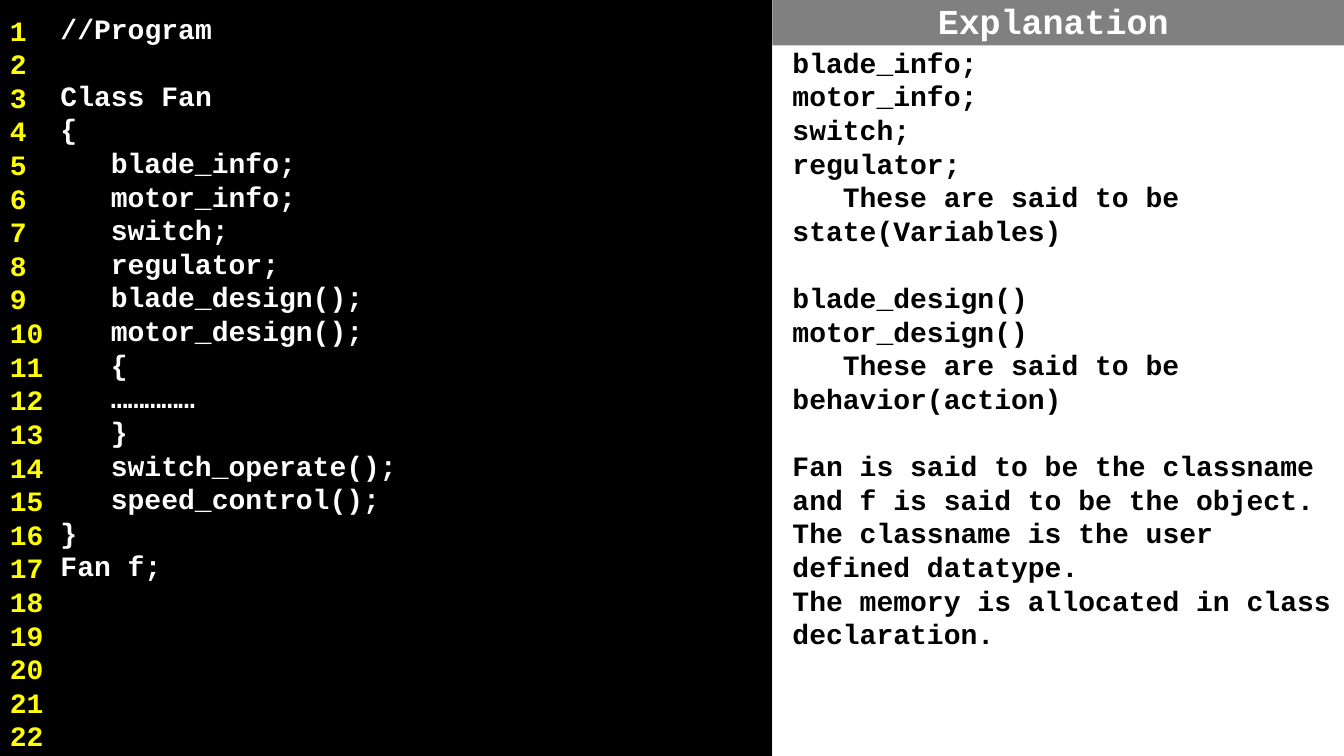
from dataclasses import dataclass

from lxml.etree import SubElement
from pptx import Presentation
from pptx.dml.color import RGBColor
from pptx.enum.shapes import MSO_SHAPE
from pptx.enum.text import MSO_ANCHOR, PP_ALIGN
from pptx.oxml.ns import qn
from pptx.util import Inches, Pt


@dataclass(frozen=True)
class Theme:
    """Colours, font and type sizes of the slide."""
    black: RGBColor = RGBColor(0x00, 0x00, 0x00)
    white: RGBColor = RGBColor(0xFF, 0xFF, 0xFF)
    yellow: RGBColor = RGBColor(0xFF, 0xFF, 0x00)
    grey: RGBColor = RGBColor(0x80, 0x80, 0x80)
    font: str = "Courier New"
    body_size: int = 20
    title_size: int = 25
    line_height: int = 24


THEME = Theme()
SLIDE_WIDTH, SLIDE_HEIGHT = 13.33, 7.5
CODE_WIDTH = 7.66
LINE_COUNT = 22

CODE = """//Program

Class Fan
{
\tblade_info;
\tmotor_info;
\tswitch;
\tregulator;
\tblade_design();
\tmotor_design();
\t{
\t……………
\t}
\tswitch_operate();
\tspeed_control();
}
Fan f;"""

EXPLANATION = """blade_info;
motor_info;
switch;
regulator;
\tThese are said to be state(Variables)

blade_design()
motor_design()
\tThese are said to be behavior(action)

Fan is said to be the classname
and f is said to be the object.
The classname is the user defined datatype.
The memory is allocated in class declaration."""


def add_panel(slide, box, fill, opacity=100):
    """Add a borderless rectangle at box (left, top, width, height)."""
    shape = slide.shapes.add_shape(MSO_SHAPE.RECTANGLE, *map(Inches, box))
    shape.shadow.inherit = False
    shape.fill.solid()
    shape.fill.fore_color.rgb = fill
    shape.line.fill.background()
    if opacity < 100:
        color = shape.fill._xPr.find(qn("a:solidFill"))[0]
        SubElement(color, qn("a:alpha")).set("val", str(opacity * 1000))
    return shape


def write_text(shape, text, *, color, insets, size=THEME.body_size,
               align=PP_ALIGN.LEFT, anchor=MSO_ANCHOR.TOP):
    """Write one paragraph per line, turning an empty line into space before the next."""
    frame = shape.text_frame
    frame.word_wrap = True
    frame.vertical_anchor = anchor
    (frame.margin_left, frame.margin_top,
     frame.margin_right, frame.margin_bottom) = map(Inches, insets)
    paragraph, gap = None, 0
    for line in text.split("\n"):
        if not line:
            gap += THEME.line_height
            continue
        paragraph = frame.add_paragraph() if paragraph else frame.paragraphs[0]
        paragraph.alignment = align
        if gap:
            paragraph.space_before = Pt(gap)
            gap = 0
        run = paragraph.add_run()
        run.text = line
        run.font.name = THEME.font
        run.font.size = Pt(size)
        run.font.bold = True
        run.font.color.rgb = color


def add_code(slide, box):
    """Add the program listing with its column of line numbers."""
    left, top, _, height = box
    write_text(add_panel(slide, box, THEME.black), CODE,
               color=THEME.white, insets=(0.6, 0.11, 0.1, 1))
    gutter, strip = 0.58, 0.08
    add_panel(slide, (left, top, gutter, strip), THEME.black, opacity=68)
    numbers = add_panel(slide, (left, top + strip, gutter, height - strip),
                        THEME.black, opacity=68)
    write_text(numbers, "\n".join(map(str, range(1, LINE_COUNT + 1))),
               color=THEME.yellow, insets=(0.1, 0.05, 0.1, 1))


def add_explanation(slide, box):
    """Add the explanation text under its title bar."""
    left, top, width, height = box
    body_offset, bar_height = 0.4, 0.45
    body = add_panel(slide, (left, top + body_offset, width, height - body_offset),
                     THEME.white)
    write_text(body, EXPLANATION, color=THEME.black, insets=(0.2, 0.05, 0, 0))
    bar = add_panel(slide, (left, top, width, bar_height), THEME.grey)
    write_text(bar, "Explanation", color=THEME.white, insets=(0, 0.05, 0.1, 0.1),
               size=THEME.title_size, align=PP_ALIGN.CENTER, anchor=MSO_ANCHOR.MIDDLE)


def main():
    """Build the slide and save it."""
    presentation = Presentation()
    presentation.slide_width = Inches(SLIDE_WIDTH)
    presentation.slide_height = Inches(SLIDE_HEIGHT)
    slide = presentation.slides.add_slide(presentation.slide_layouts[6])
    add_code(slide, (0, 0, CODE_WIDTH, SLIDE_HEIGHT))
    add_explanation(slide, (CODE_WIDTH, 0, SLIDE_WIDTH - CODE_WIDTH, SLIDE_HEIGHT))
    presentation.save("out.pptx")


if __name__ == "__main__":
    main()
